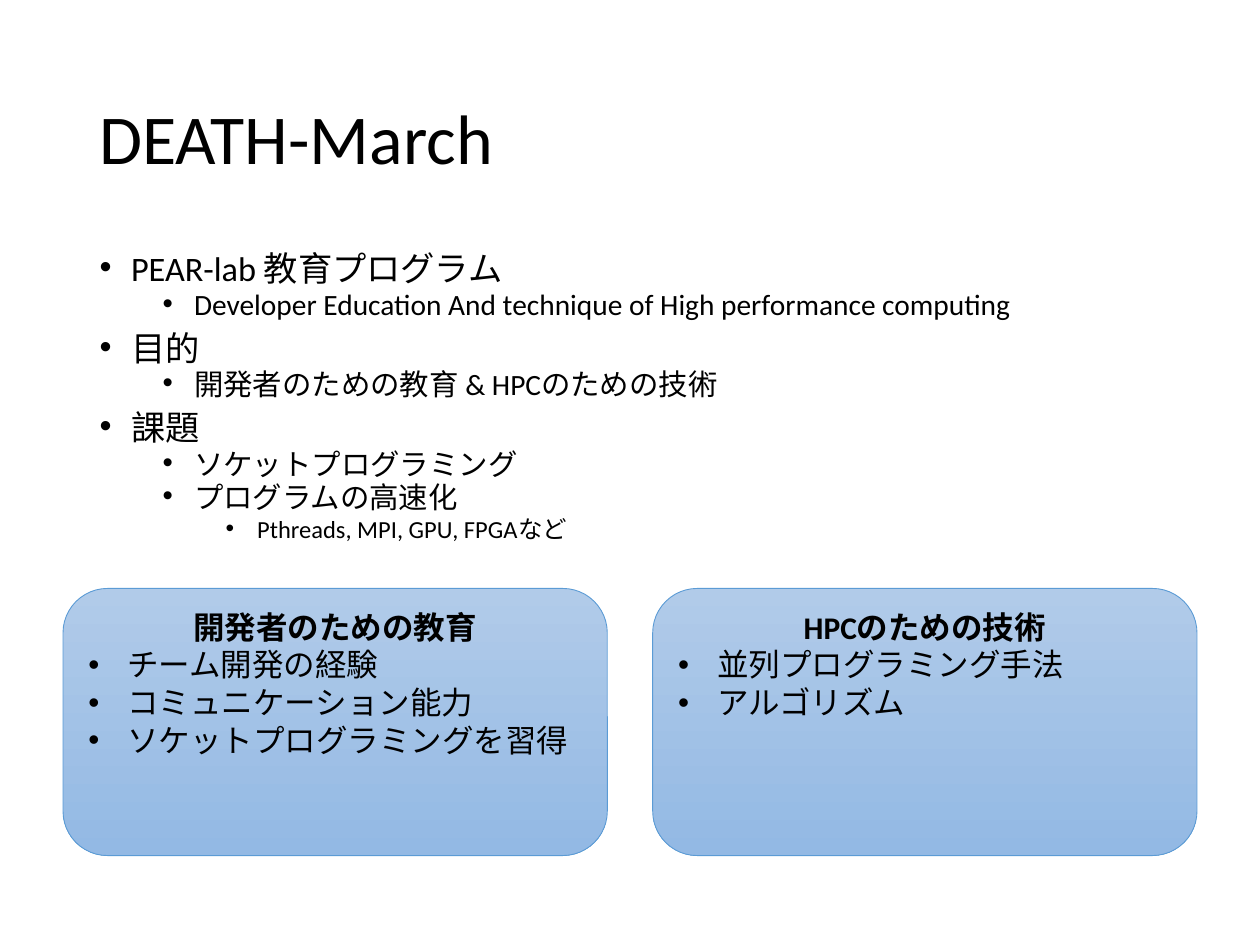
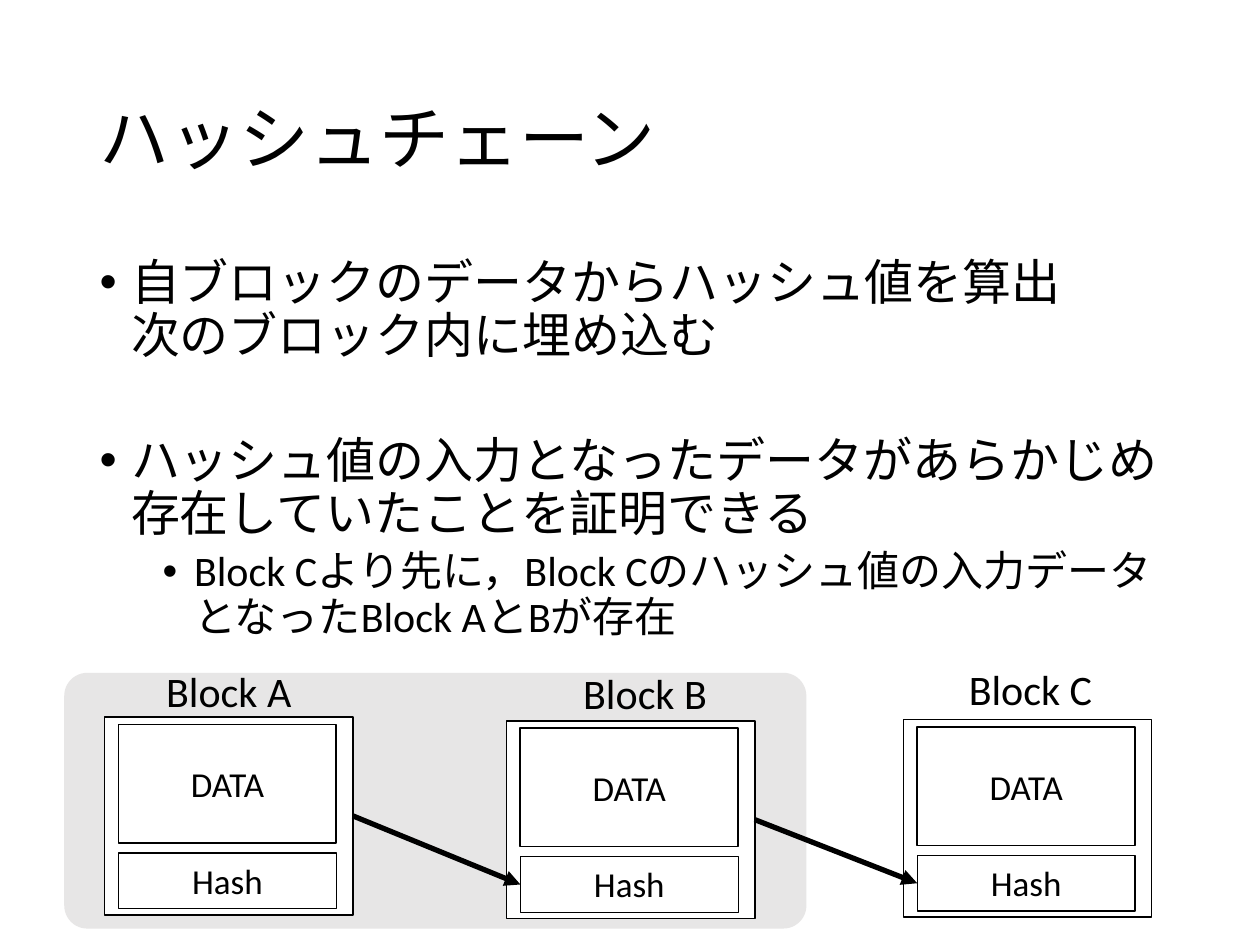
from dataclasses import dataclass
from itertools import pairwise

from lxml.etree import SubElement
from pptx import Presentation
from pptx.dml.color import RGBColor
from pptx.enum.shapes import MSO_CONNECTOR, MSO_SHAPE
from pptx.enum.text import MSO_ANCHOR, MSO_AUTO_SIZE, PP_ALIGN
from pptx.oxml.ns import qn
from pptx.util import Inches, Pt


@dataclass(frozen=True)
class Theme:
    font: str = "Calibri"
    ink: str = "000000"
    paper: str = "FFFFFF"
    backdrop: str = "E7E6E6"
    card_top: str = "B1CBE9"
    card_bottom: str = "93B9E4"
    card_line: str = "5B9BD5"
    title_size: float = 40
    card_size: float = 18
    label_size: float = 24
    cell_size: float = 20


THEME = Theme()
RIGHT_SIDE, LEFT_SIDE = 3, 1

# Lists hold (level, text) or (level, text, space before in points).
MARCH = {
    "title": "DEATH-March",
    "body_height": 2.57,
    "line_spacing": 0.7,
    "sizes": (19.6, 16.8, 14),
    "items": [
        (0, "PEAR-lab 教育プログラム"),
        (1, "Developer Education And technique of High performance computing"),
        (0, "目的"),
        (1, "開発者のための教育 & HPCのための技術"),
        (0, "課題"),
        (1, "ソケットプログラミング"),
        (1, "プログラムの高速化"),
        (2, "Pthreads, MPI, GPU, FPGAなど"),
    ],
}
CARDS = [
    ("開発者のための教育",
     ["チーム開発の経験", "コミュニケーション能力", "ソケットプログラミングを習得"]),
    ("HPCのための技術", ["並列プログラミング手法", "アルゴリズム"]),
]
CHAIN = {
    "title": "ハッシュチェーン",
    "body_height": 3.31,
    "line_spacing": 0.9,
    "sizes": (28, 24),
    "items": [
        (0, "自ブロックのデータからハッシュ値を算出\n次のブロック内に埋め込む"),
        (0, "ハッシュ値の入力となったデータがあらかじめ存在していたことを証明できる", 41),
        (1, "Block Cより先に，Block Cのハッシュ値の入力データとなったBlock AとBが存在"),
    ],
}
# Name, block left and top, label left and top
BLOCKS = [
    ("Block A", (0.83, 5.69), (1.22, 5.23)),
    ("Block B", (4.02, 5.72), (4.53, 5.25)),
    ("Block C", (7.17, 5.71), (7.59, 5.22)),
]


def color(value):
    return RGBColor.from_string(value)


def box(left, top, width, height):
    return tuple(Inches(length) for length in (left, top, width, height))


def format_runs(paragraph, size, bold=False):
    for run in paragraph.runs:
        run.font.name = THEME.font
        run.font.size = Pt(size)
        run.font.bold = bold
        run.font.color.rgb = color(THEME.ink)


def add_bullet(paragraph, left, hanging):
    properties = paragraph._p.get_or_add_pPr()
    properties.set("marL", str(Inches(left)))
    properties.set("indent", str(-Inches(hanging)))
    SubElement(properties, qn("a:buFont"), typeface="Arial")
    SubElement(properties, qn("a:buChar"), char="•")


def add_paragraphs(frame, texts):
    """Fill the frame with one paragraph per text; a newline is a line break."""
    frame.paragraphs[0].text = texts[0]
    for text in texts[1:]:
        frame.add_paragraph().text = text
    return frame.paragraphs


def place(shape, bounds):
    shape.left, shape.top, shape.width, shape.height = bounds


def add_content_slide(presentation, content):
    slide = presentation.slides.add_slide(presentation.slide_layouts[1])
    title, body = slide.shapes.title, slide.placeholders[1]
    place(title, box(0.69, 0.4, 8.62, 1.45))
    place(body, box(0.69, 2, 8.62, content["body_height"]))

    title.text_frame.text = content["title"]
    title.text_frame.vertical_anchor = MSO_ANCHOR.MIDDLE
    title.text_frame.auto_size = MSO_AUTO_SIZE.NONE
    heading = title.text_frame.paragraphs[0]
    heading.alignment = PP_ALIGN.LEFT
    heading.line_spacing = 0.9
    format_runs(heading, THEME.title_size)

    body.text_frame.auto_size = MSO_AUTO_SIZE.NONE
    items = content["items"]
    paragraphs = add_paragraphs(body.text_frame, [item[1] for item in items])
    for index, (paragraph, (level, _, *space)) in enumerate(zip(paragraphs, items)):
        paragraph.level = level
        add_bullet(paragraph, 0.25 + 0.5 * level, 0.25)
        paragraph.line_spacing = content["line_spacing"]
        usual_space = 5 if level else 10
        paragraph.space_before = Pt((space or [usual_space])[0] if index else 0)
        format_runs(paragraph, content["sizes"][level])
    return slide


def add_shape(shapes, kind, bounds, fill=None, line=None, line_width=1):
    shape = shapes.add_shape(kind, *bounds)
    shape.shadow.inherit = False
    if fill:
        shape.fill.solid()
        shape.fill.fore_color.rgb = color(fill)
    else:
        shape.fill.background()
    if line:
        shape.line.color.rgb = color(line)
        shape.line.width = Pt(line_width)
    else:
        shape.line.fill.background()
    return shape


def add_card(slide, left, heading, points):
    card = add_shape(slide.shapes, MSO_SHAPE.FLOWCHART_ALTERNATE_PROCESS,
                     box(left, 4.67, 4.32, 2.12), line=THEME.card_line, line_width=0.5)
    card.fill.gradient()
    card.fill.gradient_angle = 270
    for stop, value in zip(card.fill.gradient_stops, (THEME.card_top, THEME.card_bottom)):
        stop.color.rgb = color(value)
    frame = card.text_frame
    frame.word_wrap = True
    frame.vertical_anchor = MSO_ANCHOR.TOP
    for index, paragraph in enumerate(add_paragraphs(frame, [heading, *points])):
        paragraph.alignment = PP_ALIGN.LEFT if index else PP_ALIGN.CENTER
        if index:
            add_bullet(paragraph, 0.31, 0.31)
        format_runs(paragraph, THEME.card_size, bold=index == 0)


def add_cell(group, bounds, text, line_width, anchor):
    cell = add_shape(group.shapes, MSO_SHAPE.RECTANGLE, bounds,
                     line=THEME.ink, line_width=line_width)
    cell.text_frame.text = text
    cell.text_frame.word_wrap = True
    cell.text_frame.vertical_anchor = anchor
    paragraph = cell.text_frame.paragraphs[0]
    paragraph.alignment = PP_ALIGN.CENTER
    format_runs(paragraph, THEME.cell_size)
    return cell


def add_block(slide, left, top):
    """Draw one block of the chain and return its frame and hash cell."""
    group = slide.shapes.add_group_shape()
    frame = add_shape(group.shapes, MSO_SHAPE.RECTANGLE, box(left, top, 1.97, 1.57),
                      THEME.paper, THEME.ink)
    hash_cell = add_cell(group, box(left + 0.11, top + 1.08, 1.73, 0.44),
                         "Hash", 0.75, MSO_ANCHOR.TOP)
    add_cell(group, box(left + 0.11, top + 0.06, 1.73, 0.94),
             "DATA", 1, MSO_ANCHOR.MIDDLE)
    return frame, hash_cell


def add_arrow(slide, source, target):
    arrow = slide.shapes.add_connector(MSO_CONNECTOR.STRAIGHT, 0, 0, 0, 0)
    arrow.begin_connect(source, RIGHT_SIDE)
    arrow.end_connect(target, LEFT_SIDE)
    arrow.line.color.rgb = color(THEME.ink)
    arrow.line.width = Pt(3)
    SubElement(arrow.line._get_or_add_ln(), qn("a:tailEnd"), type="triangle")
    SubElement(arrow._element.spPr, qn("a:effectLst"))


def add_label(slide, left, top, text):
    label = slide.shapes.add_textbox(*box(left, top, 1.88, 0.5))
    label.text_frame.word_wrap = True
    label.text_frame.text = text
    format_runs(label.text_frame.paragraphs[0], THEME.label_size)


def build_march_slide(presentation):
    slide = add_content_slide(presentation, MARCH)
    for index, (heading, points) in enumerate(CARDS):
        add_card(slide, 0.5 + 4.68 * index, heading, points)


def build_chain_slide(presentation):
    slide = add_content_slide(presentation, CHAIN)
    backdrop = add_shape(slide.shapes, MSO_SHAPE.ROUNDED_RECTANGLE,
                         box(0.51, 5.34, 5.89, 2.03), THEME.backdrop)
    backdrop.adjustments[0] = 0.09
    slide.shapes.title._element.addprevious(backdrop._element)

    blocks = [add_block(slide, *corner) for _, corner, _ in BLOCKS]
    for (frame, _), (_, next_hash) in pairwise(blocks):
        add_arrow(slide, frame, next_hash)
    for name, _, corner in BLOCKS:
        add_label(slide, *corner, name)


def main():
    presentation = Presentation()
    presentation.slide_width, presentation.slide_height = Inches(10), Inches(7.5)
    build_march_slide(presentation)
    build_chain_slide(presentation)
    presentation.save("out.pptx")


if __name__ == "__main__":
    main()
